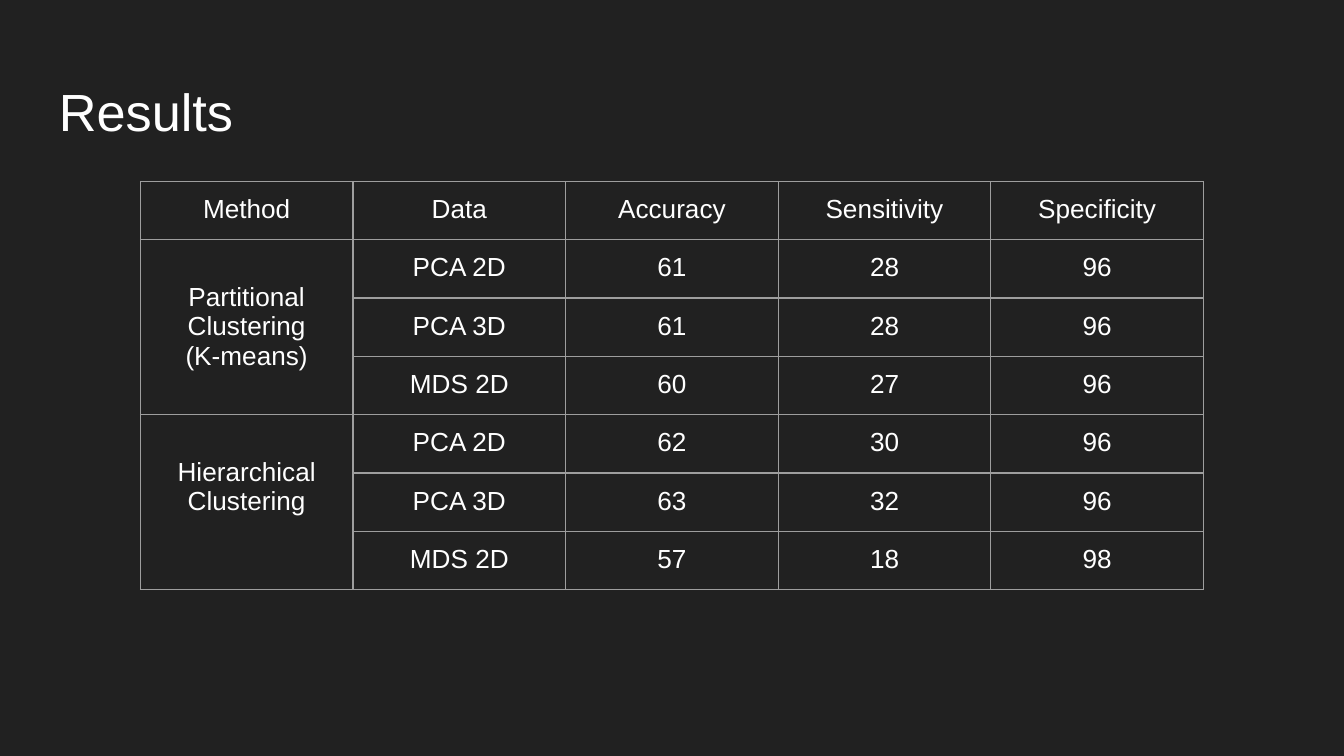
from lxml.etree import SubElement
from pptx import Presentation
from pptx.dml.color import RGBColor as RGB
from pptx.enum.text import MSO_ANCHOR as ANCHOR, PP_ALIGN as ALIGN
from pptx.oxml.ns import qn
from pptx.util import Inches, Pt

TITLE = "Results"
HEADERS = ["Method", "Data", "Accuracy", "Sensitivity", "Specificity"]
METHODS = [
    (["Partitional Clustering", "(K-means)"],
     [("PCA 2D", 61, 28, 96), ("PCA 3D", 61, 28, 96), ("MDS 2D", 60, 27, 96)]),
    (["Hierarchical Clustering"],
     [("PCA 2D", 62, 30, 96), ("PCA 3D", 63, 32, 96), ("MDS 2D", 57, 18, 98)]),
]

THEME = dict(font="Arial", bg=RGB.from_string("212121"), text=RGB.from_string("FFFFFF"),
             line="9E9E9E", line_width=Pt(0.75), title=Pt(28), body=Pt(14))
SLIDE_W = 10
SLIDE_H = SLIDE_W * 9 / 16
TITLE_BOX = (0.34, 0.49, 9.32, 0.63)
TABLE_W, TABLE_H, TABLE_TOP = 7.91, 2.93, 1.35
INSET, METHOD_INSET = 0.1, 0.32


def apply(obj, values):
    for name, value in values.items():
        setattr(obj, name, value)


def insets(side=INSET, top=INSET):
    return dict(margin_left=Inches(side), margin_right=Inches(side),
                margin_top=Inches(top), margin_bottom=Inches(side),
                vertical_anchor=ANCHOR.TOP)


def write(tf, lines, size, align):
    for i, line in enumerate(lines):
        p = tf.paragraphs[0] if i == 0 else tf.add_paragraph()
        p.alignment = align
        r = p.add_run()
        r.text = str(line)
        apply(r.font, dict(name=THEME["font"], size=size))
        r.font.color.rgb = THEME["text"]


def style_cell(cell):
    """Outline all four sides, then fill; the schema wants borders first.

    Insets start at zero so that cells hidden by a merge do not stretch their row.
    """
    props = cell._tc.get_or_add_tcPr()
    for side in ("a:lnL", "a:lnR", "a:lnT", "a:lnB"):
        ln = SubElement(props, qn(side), w=str(THEME["line_width"]))
        SubElement(SubElement(ln, qn("a:solidFill")), qn("a:srgbClr"), val=THEME["line"])
    cell.fill.solid()
    cell.fill.fore_color.rgb = THEME["bg"]
    apply(cell, insets(0, 0))


def fill_cell(cell, lines, top=INSET):
    apply(cell, insets(top=top))
    write(cell.text_frame, lines, THEME["body"], ALIGN.CENTER)


def add_title(s):
    tf = s.shapes.add_textbox(*map(Inches, TITLE_BOX)).text_frame
    apply(tf, dict(insets(), word_wrap=True))
    write(tf, [TITLE], THEME["title"], ALIGN.LEFT)


def add_results(s):
    rows = 1 + sum(len(results) for _, results in METHODS)
    left = (SLIDE_W - TABLE_W) / 2
    frame = s.shapes.add_table(rows, len(HEADERS),
                               *map(Inches, (left, TABLE_TOP, TABLE_W, TABLE_H)))
    table = frame.table
    apply(table, dict(first_row=False, horz_banding=False))
    for cell in table.iter_cells():
        style_cell(cell)
    for col, header in enumerate(HEADERS):
        fill_cell(table.cell(0, col), [header])

    row = 1
    for method, results in METHODS:
        first = table.cell(row, 0)
        first.merge(table.cell(row + len(results) - 1, 0))
        fill_cell(first, method, METHOD_INSET)
        for result in results:
            for col, value in enumerate(result, 1):
                fill_cell(table.cell(row, col), [value])
            row += 1


def main():
    prs = Presentation()
    apply(prs, dict(slide_width=Inches(SLIDE_W), slide_height=Inches(SLIDE_H)))
    s = prs.slides.add_slide(prs.slide_layouts[6])
    s.background.fill.solid()
    s.background.fill.fore_color.rgb = THEME["bg"]
    add_title(s)
    add_results(s)
    prs.save("out.pptx")


if __name__ == "__main__":
    main()
